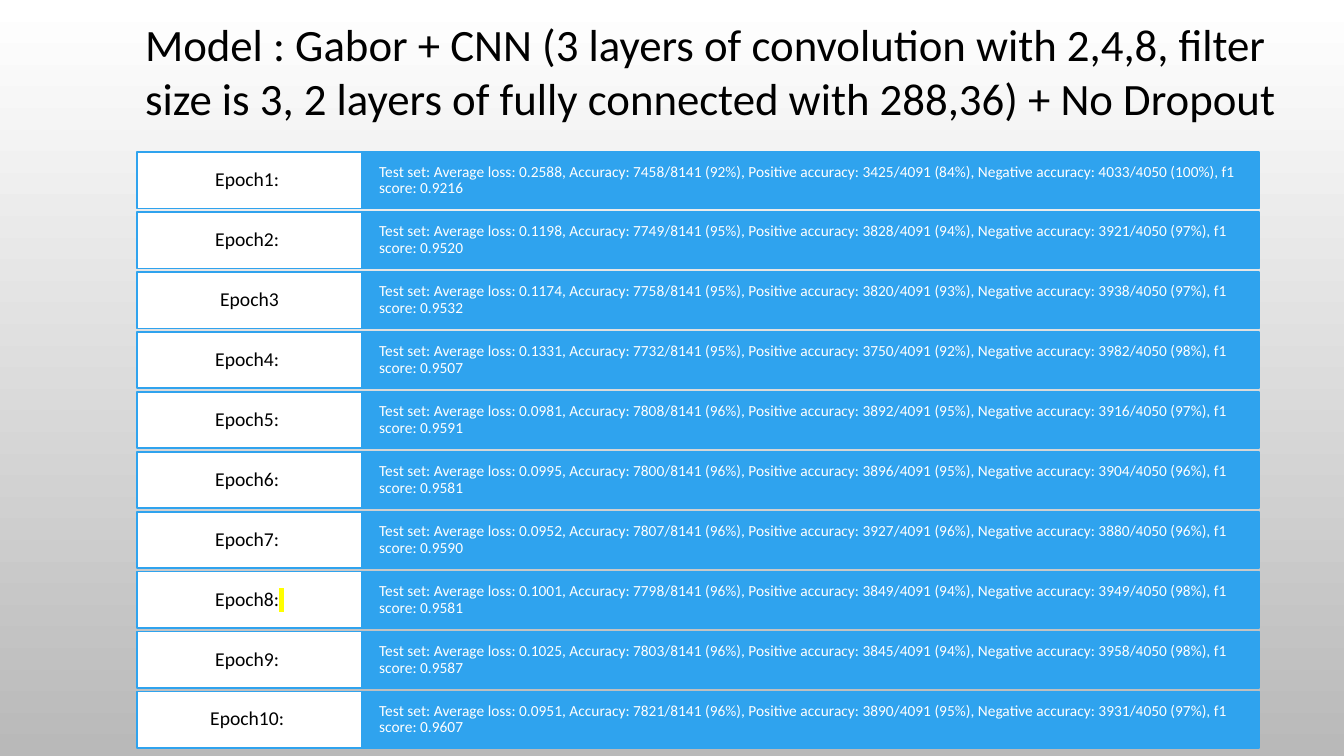
from pptx import Presentation
from pptx import util as u
from pptx.dml.color import RGBColor
from pptx.enum import shapes, text
from pptx.oxml import parse_xml
from pptx.oxml.ns import nsdecls

WHITE = RGBColor(0xFF, 0xFF, 0xFF)
BLACK = RGBColor(0, 0, 0)
BLUE = RGBColor(0x2F, 0xA3, 0xEE)
GREY = RGBColor(0xB9, 0xB9, 0xB9)

TITLE = ("Model : Gabor + CNN (3 layers of convolution with 2,4,8, filter size is 3, "
         "2 layers of fully connected with 288,36) + No Dropout")
POSITIVES, NEGATIVES = 4091, 4050
# Average loss, correct positives, correct negatives, f1 score
EPOCHS = [
    (0.2588, 3425, 4033, 0.9216),
    (0.1198, 3828, 3921, 0.9520),
    (0.1174, 3820, 3938, 0.9532),
    (0.1331, 3750, 3982, 0.9507),
    (0.0981, 3892, 3916, 0.9591),
    (0.0995, 3896, 3904, 0.9581),
    (0.0952, 3927, 3880, 0.9590),
    (0.1001, 3849, 3949, 0.9581),
    (0.1025, 3845, 3958, 0.9587),
    (0.0951, 3890, 3931, 0.9607),
]
FIRST_TOP, LAST_TOP, ROW_HEIGHT = 1.51, 6.86, 0.56
LABEL_LEFT, LABEL_WIDTH = 1.36, 2.23
RESULT_LEFT, RESULT_WIDTH = 3.59, 8.9


def apply(target, values):
    for name, value in values.items():
        setattr(target, name, value)


def add_run(paragraph, words, size, color):
    run = paragraph.add_run()
    run.text = words
    apply(run.font, {"name": "Calibri", "size": u.Pt(size)})
    run.font.color.rgb = color
    return run


def highlight(run):
    mark = parse_xml(f'<a:highlight {nsdecls("a")}><a:srgbClr val="FFFF00"/></a:highlight>')
    run.font.fill  # the highlight belongs right after the text fill
    run._r.rPr.find("{*}solidFill").addnext(mark)


def ratio(correct, total):
    return f"{correct}/{total} ({correct / total:.0%})"


def result_text(loss, positive, negative, f1):
    return (f"Test set: Average loss: {loss:.4f}, "
            f"Accuracy: {ratio(positive + negative, POSITIVES + NEGATIVES)}, "
            f"Positive accuracy: {ratio(positive, POSITIVES)}, "
            f"Negative accuracy: {ratio(negative, NEGATIVES)}, f1 score: {f1:.4f}")


def add_cell(slide, left, top, width, fill, side, edge, align):
    """Add one outlined box and return its empty paragraph."""
    cell = slide.shapes.add_shape(
        shapes.MSO_SHAPE.RECTANGLE, u.Inches(left), u.Inches(top),
        u.Inches(width), u.Inches(ROW_HEIGHT))
    cell.shadow.inherit = False
    cell.fill.solid()
    cell.fill.fore_color.rgb = fill
    cell.line.color.rgb = BLUE
    cell.line.width = u.Pt(1.25)
    apply(cell.text_frame, {
        "word_wrap": True, "vertical_anchor": text.MSO_ANCHOR.MIDDLE,
        "margin_left": u.Inches(side), "margin_right": u.Inches(side),
        "margin_top": u.Inches(edge), "margin_bottom": u.Inches(edge)})
    paragraph = cell.text_frame.paragraphs[0]
    apply(paragraph, {"alignment": align, "line_spacing": 0.9})
    return paragraph


def add_epoch(slide, number, top, scores):
    result = add_cell(slide, RESULT_LEFT, top, RESULT_WIDTH, BLUE,
                      0.17, 0.14, text.PP_ALIGN.LEFT)
    add_run(result, result_text(*scores), 11, WHITE)

    label = add_cell(slide, LABEL_LEFT, top, LABEL_WIDTH, WHITE,
                     0.12, 0.06, text.PP_ALIGN.CENTER)
    add_run(label, "Epoch3" if number == 3 else f"Epoch{number}:", 14, BLACK)
    if number != 3:
        space = add_run(label, " ", 14, BLACK)
        if number == 8:
            highlight(space)


def add_title(slide):
    title = slide.shapes.add_textbox(u.Inches(1.34), u.Inches(0.12),
                                     u.Inches(12), u.Inches(1.18))
    apply(title.text_frame, {"word_wrap": True,
                             "auto_size": text.MSO_AUTO_SIZE.SHAPE_TO_FIT_TEXT})
    add_run(title.text_frame.paragraphs[0], TITLE, 32, BLACK)


def set_background(slide):
    fill = slide.background.fill
    fill.gradient()
    fill.gradient_angle = 270
    for stop, color, position in zip(fill.gradient_stops, (WHITE, GREY), (0, 1)):
        stop.color.rgb = color
        stop.position = position


def main():
    deck = Presentation()
    apply(deck, {"slide_width": u.Inches(13.33), "slide_height": u.Inches(7.5)})
    slide = deck.slides.add_slide(deck.slide_layouts[6])
    set_background(slide)

    # One row per epoch, evenly spaced
    pitch = (LAST_TOP - FIRST_TOP) / (len(EPOCHS) - 1)
    for index, scores in enumerate(EPOCHS):
        add_epoch(slide, index + 1, FIRST_TOP + index * pitch, scores)

    add_title(slide)
    deck.save("out.pptx")


if __name__ == "__main__":
    main()
